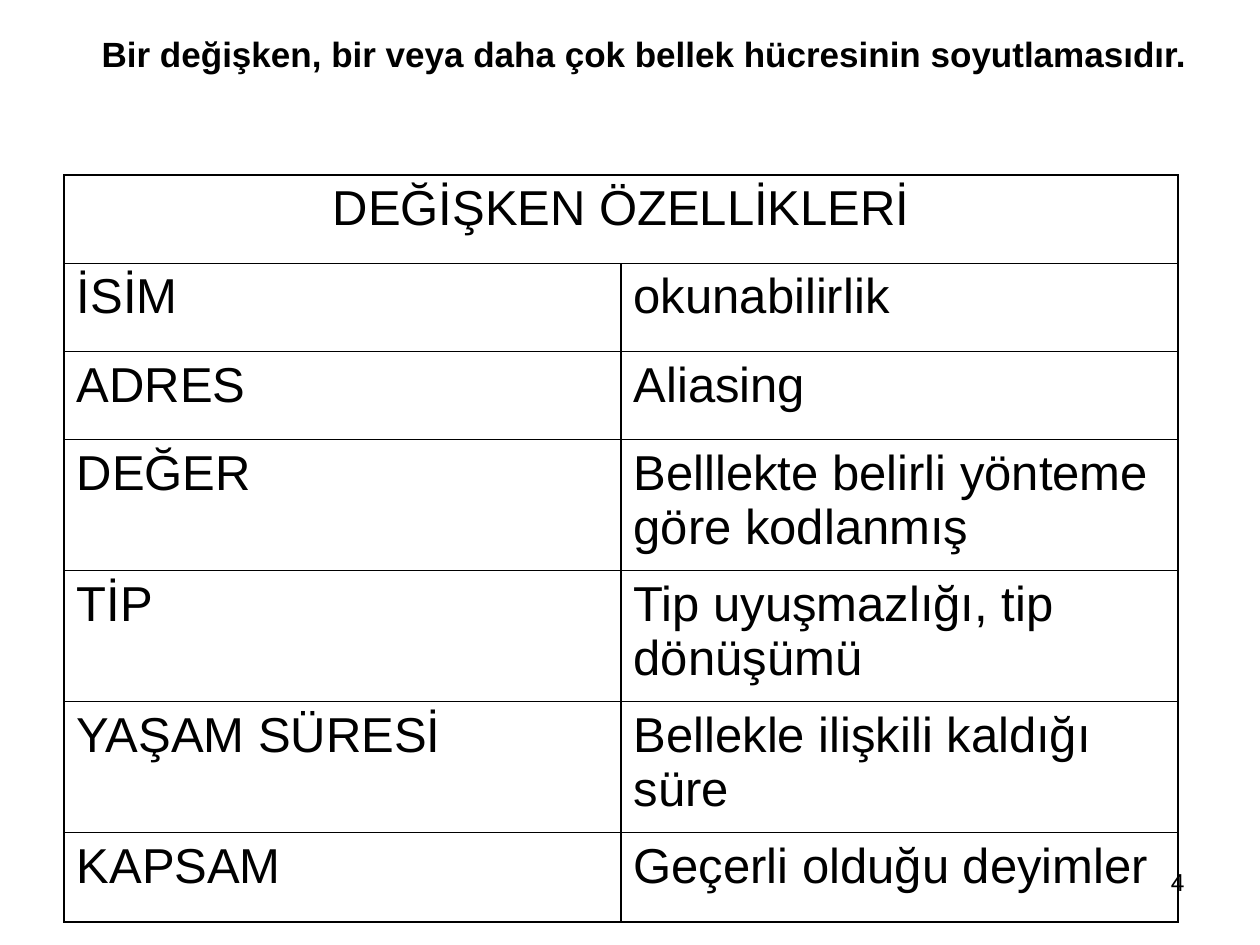
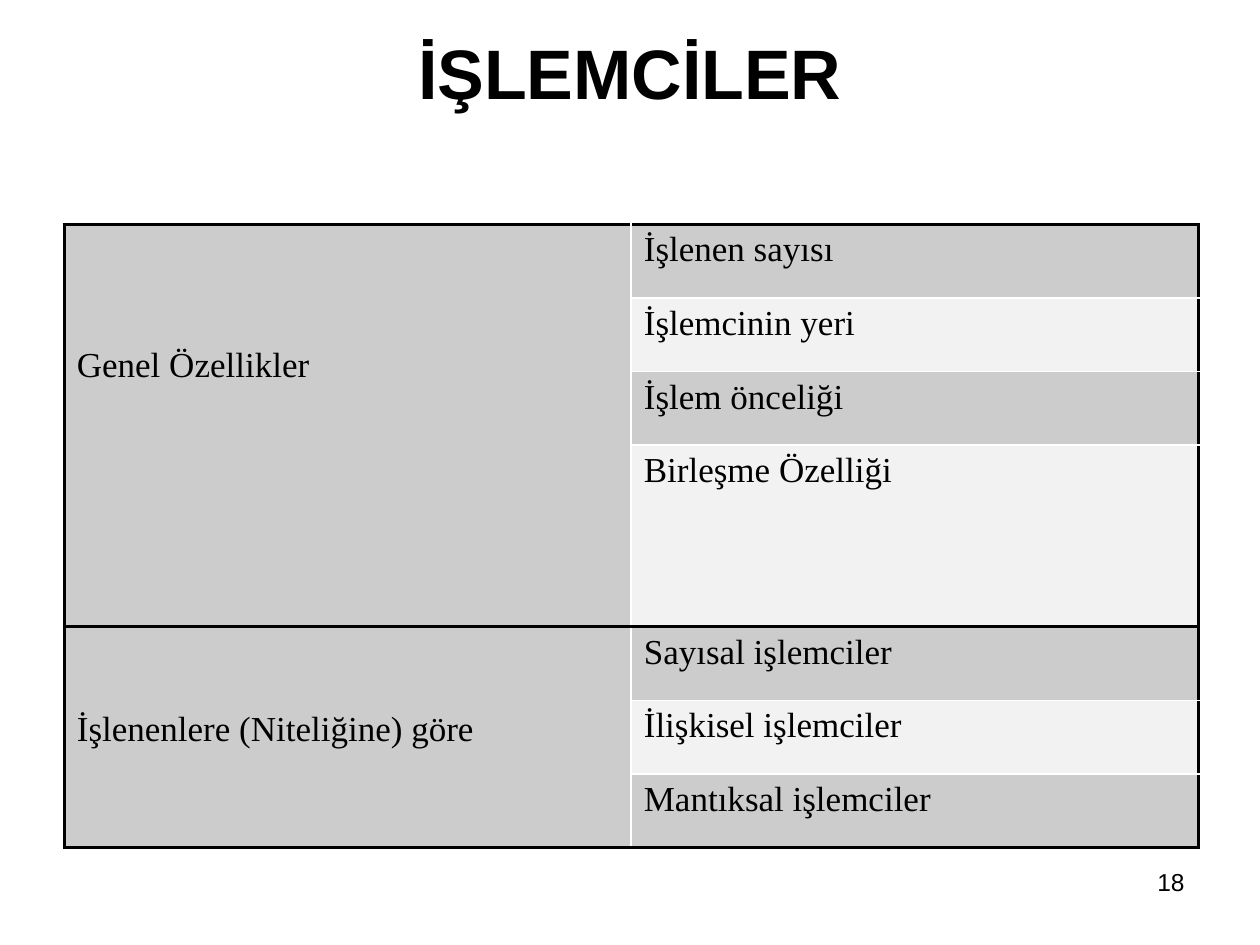
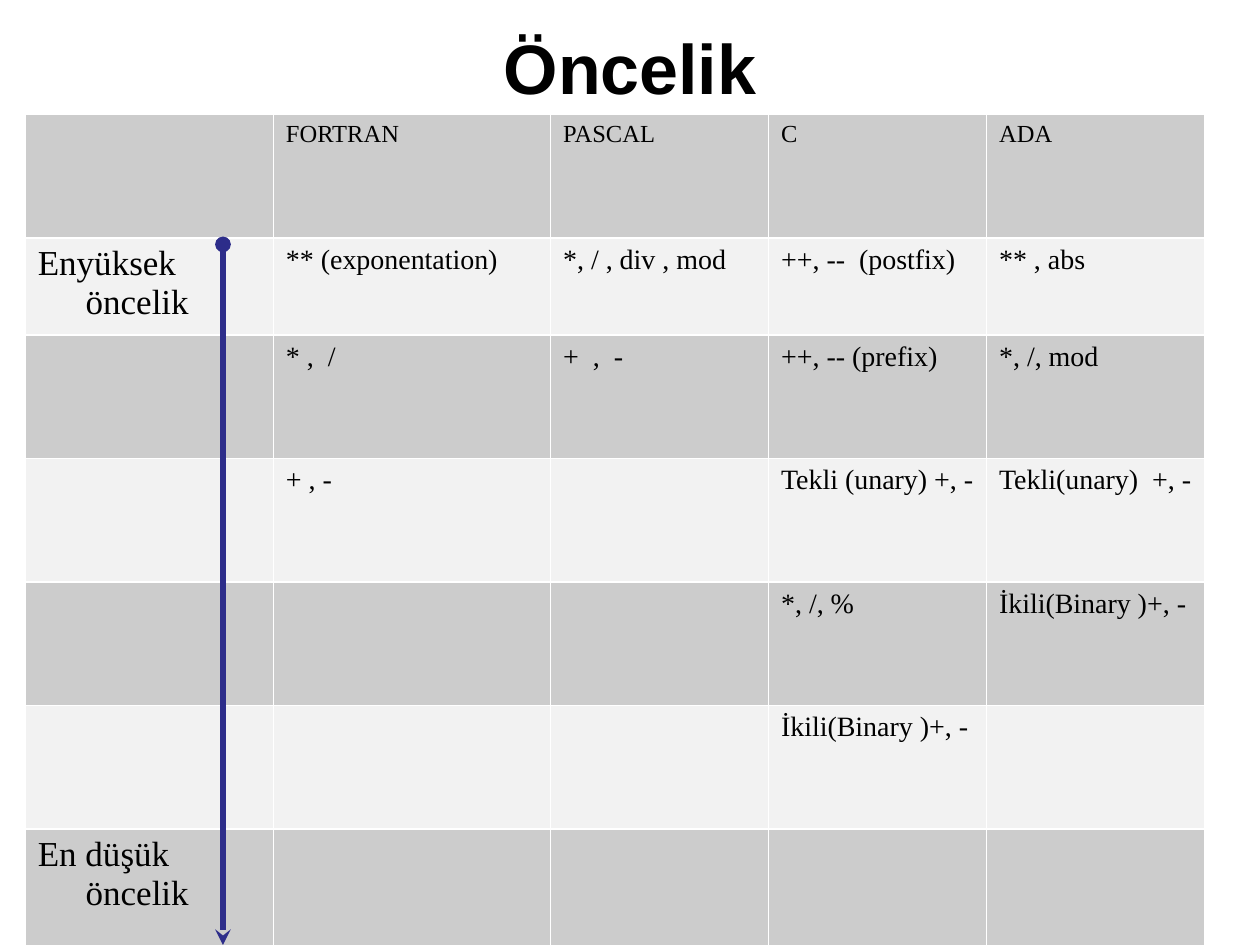
from lxml import etree
from pptx import Presentation
from pptx.dml.color import RGBColor
from pptx.enum import shapes, text
from pptx.oxml import ns
from pptx.util import Inches, Pt

BLACK = RGBColor(0x00, 0x00, 0x00)
WHITE = RGBColor(0xFF, 0xFF, 0xFF)
GREY = RGBColor(0xCC, 0xCC, 0xCC)
PALE = RGBColor(0xF2, 0xF2, 0xF2)
ARROW_BLUE = RGBColor(0x2D, 0x2D, 0x8A)
SANS, SERIF = "Arial", "Times New Roman"
NO_STYLE = "{2D5ABB26-0587-4C30-8999-92F81FD0307C}"
CENTER, RIGHT = text.PP_ALIGN.CENTER, text.PP_ALIGN.RIGHT

FEATURES = [
    ("İSİM", "okunabilirlik"),
    ("ADRES", "Aliasing"),
    ("DEĞER", "Belllekte belirli yönteme göre kodlanmış"),
    ("TİP", "Tip uyuşmazlığı, tip dönüşümü"),
    ("YAŞAM SÜRESİ", "Bellekle ilişkili kaldığı süre"),
    ("KAPSAM", "Geçerli olduğu deyimler"),
]
# Group name, top margin that lowers the name, members
OPERATOR_GROUPS = [
    ("Genel Özellikler", 0.97,
     ["İşlenen sayısı", "İşlemcinin yeri", "İşlem önceliği", "Birleşme Özelliği"]),
    ("İşlenenlere (Niteliğine) göre", 0.66,
     ["Sayısal işlemciler", "İlişkisel işlemciler", "Mantıksal işlemciler"]),
]
PRECEDENCE = [
    ("", "FORTRAN", "PASCAL", "C", "ADA"),
    ("Enyüksek öncelik", "** (exponentation)", "*, / , div , mod",
     "++, --  (postfix)", "** , abs"),
    ("", "* ,  /", "+  ,  -", "++, -- (prefix)", "*, /, mod"),
    ("", "+ , -", "", "Tekli (unary) +, -", "Tekli(unary)  +, -"),
    ("", "", "", "*, /, %", "İkili(Binary )+, -"),
    ("", "", "", "İkili(Binary )+, -", ""),
    ("En düşük öncelik", "", "", "", ""),
]


def write(frame, words, size, font=SANS, bold=False, align=None, hanging=False):
    para = frame.paragraphs[0]
    para.alignment = align
    if hanging:
        properties = para._p.get_or_add_pPr()
        properties.set("marL", str(Inches(0.38)))
        properties.set("indent", str(-Inches(0.38)))
    span = para.add_run()
    span.text = words
    span.font.size, span.font.name, span.font.bold = Pt(size), font, bold
    span.font.color.rgb = BLACK


def add_text(page, at, words, size, **style):
    box = page.shapes.add_textbox(*map(Inches, at))
    box.text_frame.word_wrap = True
    write(box.text_frame, words, size, **style)
    return box.text_frame


def add_title(page, height, words):
    frame = add_text(page, (0.5, 0.3, 9, height), words, 40, bold=True, align=CENTER)
    frame.vertical_anchor = text.MSO_ANCHOR.MIDDLE
    frame.margin_left = frame.margin_right = 0
    frame.margin_top = frame.margin_bottom = 0


def add_page_number(page, number):
    add_text(page, (7.17, 6.83, 2.33, 0.52), number, 14, align=RIGHT)


def add_grid(page, left, top, widths, heights):
    """Add an unstyled table with the given column widths and row heights."""
    table = page.shapes.add_table(
        len(heights), len(widths), Inches(left), Inches(top),
        Inches(sum(widths)), Inches(sum(heights))).table
    table.first_row = table.horz_banding = False
    table._tbl.tblPr.find(ns.qn("a:tableStyleId")).text = NO_STYLE
    for column, width in zip(table.columns, widths):
        column.width = Inches(width)
    for row, height in zip(table.rows, heights):
        row.height = Inches(height)
    return table


def set_border(cell, side, color, width):
    line = etree.SubElement(cell._tc.get_or_add_tcPr(), ns.qn(f"a:ln{side}"),
                            w=str(Pt(width)))
    fill = etree.SubElement(line, ns.qn("a:solidFill"))
    etree.SubElement(fill, ns.qn("a:srgbClr"), val=str(color))


def finish_cells(table, outer, across, down, fills=None, strong_rows=()):
    """Rule and fill the cells; across and down are the inner lines,
    and strong_rows are the inner row edges drawn like the outer frame."""
    last_row, last_column = len(table.rows), len(table.columns)
    row_edges = {0, last_row, *strong_rows}
    column_edges = {0, last_column}
    for row in range(last_row):
        for column in range(last_column):
            cell = table.cell(row, column)
            if cell.is_spanned:
                continue
            right = column + (cell.span_width if cell.is_merge_origin else 1)
            bottom = row + (cell.span_height if cell.is_merge_origin else 1)
            for side, edge in (("L", column), ("R", right)):
                set_border(cell, side, *(outer if edge in column_edges else down))
            for side, edge in (("T", row), ("B", bottom)):
                set_border(cell, side, *(outer if edge in row_edges else across))
            if fills is None or cell.is_merge_origin and fills is None:
                cell.fill.background()
            else:
                cell.fill.solid()
                shade = 0 if cell.is_merge_origin else (row - max(
                    (edge for edge in row_edges if edge <= row))) % 2
                cell.fill.fore_color.rgb = fills[shade]


def variable_features(page):
    add_page_number(page, "4")
    table = add_grid(page, 0.51, 1.39, [4.42] * 2, [0.7] * 3 + [1.04] * 3 + [0.71])
    heading = table.cell(0, 0)
    heading.merge(table.cell(0, 1))
    write(heading.text_frame, "DEĞİŞKEN ÖZELLİKLERİ", 28, align=CENTER)
    for row, feature in enumerate(FEATURES, start=1):
        for column, words in enumerate(feature):
            write(table.cell(row, column).text_frame, words, 28)
    finish_cells(table, (BLACK, 1.08), (BLACK, 0.45), (BLACK, 1.08))
    add_text(page, (0.51, 0.21, 9.21, 0.44),
             "Bir değişken, bir veya daha çok bellek hücresinin soyutlamasıdır.",
             20, bold=True, align=CENTER)


def operator_kinds(page):
    add_page_number(page, "18")
    add_title(page, 0.54, "İŞLEMCİLER")
    table = add_grid(page, 0.51, 1.78, [4.5] * 2, [0.585] * 3 + [1.44] + [0.585] * 3)
    starts, row = [], 0
    for name, margin, members in OPERATOR_GROUPS:
        starts.append(row)
        group = table.cell(row, 0)
        group.merge(table.cell(row + len(members) - 1, 0))
        group.margin_top = Inches(margin)
        write(group.text_frame, name, 20, SERIF, hanging=True)
        for member in members:
            write(table.cell(row, 1).text_frame, member, 20, SERIF, hanging=True)
            row += 1
    finish_cells(table, (BLACK, 2.21), (WHITE, 1.08), (WHITE, 1.08),
                 (GREY, PALE), starts)


def precedence_arrow(page, x, top, bottom):
    arrow = page.shapes.add_connector(
        shapes.MSO_CONNECTOR.STRAIGHT, *map(Inches, (x, top, x, bottom)))
    arrow.line.color.rgb = ARROW_BLUE
    arrow.line.width = Pt(3)
    line = arrow.line._get_or_add_ln()
    etree.SubElement(line, ns.qn("a:headEnd"), type="oval")
    etree.SubElement(line, ns.qn("a:tailEnd"), type="stealth")
    etree.SubElement(arrow._element.spPr, ns.qn("a:effectLst"))


def operator_precedence(page):
    add_title(page, 0.46, "Öncelik")
    table = add_grid(page, 0.2, 0.91, [1.97, 2.2] + [1.73] * 3,
                     [0.98, 0.77] + [0.98] * 5)
    for row, entries in enumerate(PRECEDENCE):
        for column, words in enumerate(entries):
            if words:
                size = 14 if row == 0 else 20 if column == 0 else 16
                write(table.cell(row, column).text_frame, words, size, SERIF,
                      hanging=True)
    rule = (WHITE, 0.96)
    finish_cells(table, rule, rule, rule, (GREY, PALE))
    precedence_arrow(page, 1.77, 1.94, 7.5)


def main():
    deck = Presentation()
    deck.slide_width, deck.slide_height = Inches(10), Inches(7.5)
    for build in (variable_features, operator_kinds, operator_precedence):
        build(deck.slides.add_slide(deck.slide_layouts[6]))
    deck.save("out.pptx")


if __name__ == "__main__":
    main()
